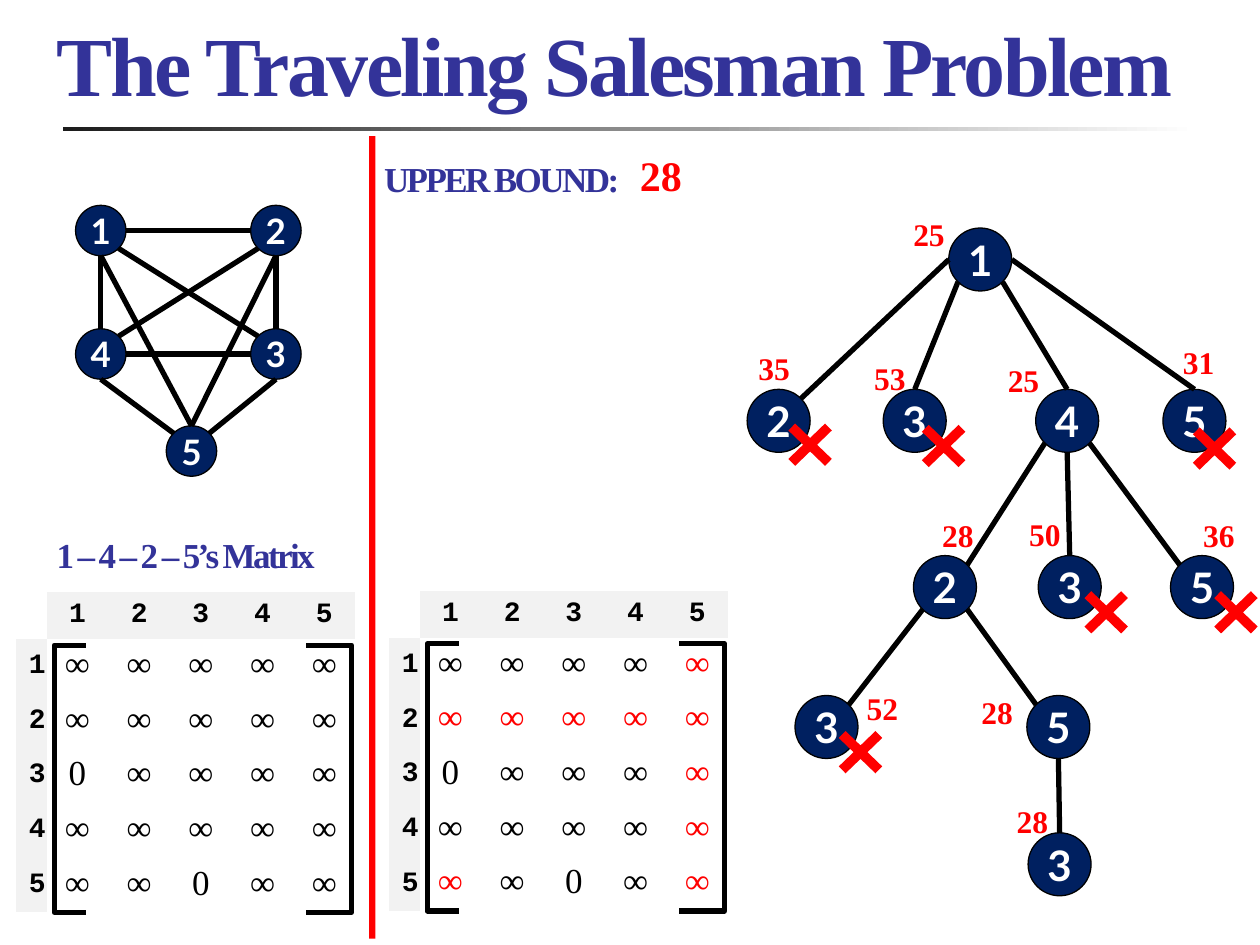
from dataclasses import dataclass

from lxml import etree
from pptx import Presentation
from pptx.dml.color import RGBColor
from pptx.enum.shapes import MSO_CONNECTOR, MSO_SHAPE
from pptx.enum.text import MSO_ANCHOR, MSO_AUTO_SIZE, PP_ALIGN
from pptx.oxml.ns import qn
from pptx.util import Inches, Pt

LEFT, CENTER = PP_ALIGN.LEFT, PP_ALIGN.CENTER
TOP, MIDDLE, BOTTOM = MSO_ANCHOR.TOP, MSO_ANCHOR.MIDDLE, MSO_ANCHOR.BOTTOM
NO_FIT = MSO_AUTO_SIZE.NONE
RECT, OVAL, CROSS = MSO_SHAPE.RECTANGLE, MSO_SHAPE.OVAL, MSO_SHAPE.MATH_MULTIPLY
LEFT_BRACKET, RIGHT_BRACKET = MSO_SHAPE.LEFT_BRACKET, MSO_SHAPE.RIGHT_BRACKET
STRAIGHT = MSO_CONNECTOR.STRAIGHT
NO_STYLE = "{2D5ABB26-0587-4C30-8999-92F81FD0307C}"


@dataclass(frozen=True)
class Theme:
    heading: RGBColor = RGBColor(0x33, 0x33, 0x99)
    node: RGBColor = RGBColor(0x00, 0x20, 0x60)
    red: RGBColor = RGBColor(0xFF, 0x00, 0x00)
    black: RGBColor = RGBColor(0x00, 0x00, 0x00)
    white: RGBColor = RGBColor(0xFF, 0xFF, 0xFF)
    rule: RGBColor = RGBColor(0x1C, 0x1C, 0x1C)
    header: RGBColor = RGBColor(0xF2, 0xF2, 0xF2)
    serif: str = "Times New Roman"
    sans: str = "Lato"
    mono: str = "Courier New"
    title: int = 48
    large: int = 24
    medium: int = 20
    small: int = 18
    index: int = 16
    thick: float = 3
    thin: float = 0.75


T = Theme()
D = 0.707
SITES = {"n": (0, -1), "s": (0, 1), "w": (-1, 0), "e": (1, 0),
         "nw": (-D, -D), "ne": (D, -D), "sw": (-D, D), "se": (D, D)}

GRAPH_NODES = {"1": (0, 0), "2": (1.39, 0), "4": (0, 0.98),
               "3": (1.39, 0.98), "5": (0.72, 1.75)}
GRAPH_EDGES = [("1", "s", "4", "n"), ("1", "e", "2", "w"), ("2", "s", "3", "n"),
               ("3", "s", "5", "ne"), ("4", "s", "5", "nw"), ("1", "se", "3", "nw"),
               ("4", "e", "3", "w"), ("4", "ne", "2", "sw"), ("2", "s", "5", "n"),
               ("1", "s", "5", "n")]

TREE_NODES = {"1": (1.6, 0), "12": (0, 1.28), "13": (1.08, 1.28),
              "14": (2.29, 1.28), "15": (3.3, 1.28), "142": (1.32, 2.6),
              "143": (2.31, 2.6), "145": (3.36, 2.6), "1423": (0.38, 3.71),
              "1425": (2.22, 3.71), "14253": (2.23, 4.8)}
TREE_EDGES = [("1", "w", "12", "ne"), ("1", "sw", "13", "n"), ("1", "se", "14", "n"),
              ("1", "e", "15", "n"), ("14", "sw", "142", "ne"), ("14", "s", "143", "n"),
              ("14", "se", "145", "nw"), ("142", "sw", "1423", "ne"),
              ("142", "se", "1425", "nw"), ("1425", "s", "14253", "n")]
BOUNDS = [("25", 1.22, -0.15), ("35", -0.01, 0.91), ("53", 0.91, 0.99),
          ("25", 1.97, 1.01), ("31", 3.36, 0.86), ("28", 1.45, 2.24),
          ("50", 2.14, 2.23), ("36", 3.52, 2.24), ("52", 0.85, 3.61),
          ("28", 1.76, 3.64), ("28", 2.04, 4.51)]
PRUNED = [(0.22, 1.45), (1.28, 1.46), (3.43, 1.48), (2.57, 2.78), (3.6, 2.78),
          (0.62, 3.89)]

MATRIX = ["∞∞∞∞∞", "∞∞∞∞∞", "0∞∞∞∞", "∞∞∞∞∞", "∞∞0∞∞"]
UPDATED = {(r, 4) for r in range(5)} | {(1, c) for c in range(5)} | {(4, 0)}


def write(tf, text, size=T.medium, color=T.heading, font=T.serif, bold=True,
          align=LEFT, spacing=0):
    p = tf.paragraphs[0]
    p.alignment = align
    r = p.add_run()
    r.text = text
    r.font.size, r.font.name, r.font.bold = Pt(size), font, bold
    r.font.color.rgb = color
    if spacing:
        r._r.get_or_add_rPr().set("spc", str(round(spacing * 100)))


def label(shapes, x, y, w, h, text, anchor=TOP, **fmt):
    tf = shapes.add_textbox(Inches(x), Inches(y), Inches(w), Inches(h)).text_frame
    tf.word_wrap = True
    tf.vertical_anchor = anchor
    write(tf, text, **fmt)


def shape(shapes, kind, x, y, w, h, fill=None, line=None, width=T.thin):
    sp = shapes.add_shape(kind, Inches(x), Inches(y), Inches(w), Inches(h))
    sp.shadow.inherit = False
    if fill is None:
        sp.fill.background()
    else:
        sp.fill.solid()
        sp.fill.fore_color.rgb = fill
    if line is None:
        sp.line.fill.background()
    else:
        sp.line.color.rgb = line
        sp.line.width = Pt(width)
    return sp


def network(shapes, x, y, nodes, edges, d, size):
    for name, (dx, dy) in nodes.items():
        sp = shape(shapes, OVAL, x + dx, y + dy, d, d, T.node, T.black)
        sp.text_frame.word_wrap = False
        sp.text_frame.vertical_anchor = MIDDLE
        write(sp.text_frame, name[-1], size=size, color=T.white, font=T.sans,
              align=CENTER)

    def point(name, site):
        return [Inches(o + n + d / 2 * (1 + u))
                for o, n, u in zip((x, y), nodes[name], SITES[site])]

    for start, start_site, end, end_site in edges:
        ln = shapes.add_connector(STRAIGHT, *point(start, start_site),
                                  *point(end, end_site))
        ln.line.color.rgb = T.black
        ln.line.width = Pt(T.thick)
        etree.SubElement(ln._element.spPr, qn("a:effectLst"))


def header(slide, x, y, w, h):
    title = slide.shapes.title
    title.left, title.top, title.width, title.height = map(Inches, (x, y, w, h))
    tf = title.text_frame
    tf.auto_size = NO_FIT
    tf.vertical_anchor = BOTTOM
    write(tf, "The Traveling Salesman Problem", size=T.title, spacing=-1.5)
    rule = shape(slide.shapes, RECT, x + 0.15, y + 0.94, 9, 0.03)
    rule.fill.gradient()
    rule.fill.gradient_angle = 0
    for stop, position, color in zip(rule.fill.gradient_stops, (0, 1),
                                     (T.rule, T.white)):
        stop.position = position
        stop.color.rgb = color


def city_graph(slide, x, y):
    group = slide.shapes.add_group_shape()
    network(group.shapes, x, y, GRAPH_NODES, GRAPH_EDGES, 0.4, T.medium)


def search_tree(slide, x, y):
    network(slide.shapes, x, y, TREE_NODES, TREE_EDGES, 0.5, T.large)
    for text, dx, dy in BOUNDS:
        label(slide.shapes, x + dx, y + dy, 0.56, 0.4, text, size=T.small, color=T.red)
    for dx, dy in PRUNED:
        sp = shape(slide.shapes, CROSS, x + dx, y + dy, 0.56, 0.54, T.red)
        sp.adjustments[0] = 0.142


def cost_matrix(slide, x, y, updated=()):
    for kind, dx, w in ((RIGHT_BRACKET, 2.3, 0.36), (LEFT_BRACKET, 0.3, 0.25)):
        sp = shape(slide.shapes, kind, x + dx, y + 0.42, w, 2.12,
                   line=T.black, width=T.thick)
        sp.adjustments[0] = 0
    frame = slide.shapes.add_table(6, 6, Inches(x), Inches(y), Inches(2.67),
                                   Inches(2.53))
    next(frame._element.iter(qn("a:tableStyleId"))).text = NO_STYLE
    table = frame.table
    table.first_row = table.horz_banding = False
    for i in range(6):
        table.columns[i].width = Inches(0.49 if i else 0.24)
        table.rows[i].height = Inches(0.43 if i else 0.37)
    for r in range(6):
        for c in range(6):
            cell = table.cell(r, c)
            cell.margin_left = Inches(0 if c else 0.09)
            cell.margin_right = 0
            cell.margin_top = cell.margin_bottom = Inches(0.05 if r or c else 0)
            if r and c:
                cell.fill.background()
                color = T.red if (r - 1, c - 1) in updated else T.black
                write(cell.text_frame, MATRIX[r - 1][c - 1], color=color,
                      bold=False, align=CENTER)
            elif r or c:
                cell.fill.solid()
                cell.fill.fore_color.rgb = T.header
                cell.vertical_anchor = MIDDLE
                write(cell.text_frame, str(r or c), size=T.index, color=T.black,
                      font=T.mono, align=CENTER)
            else:
                cell.fill.background()


def upper_bound(slide, x, y):
    label(slide.shapes, x, y + 0.07, 2.17, 0.42, "UPPER BOUND:", anchor=BOTTOM,
          spacing=-1.5)
    label(slide.shapes, x + 2.03, y, 0.67, 0.5, "28", size=T.large, color=T.red)


def main():
    prs = Presentation()
    prs.slide_width, prs.slide_height = Inches(10), Inches(7.5)
    slide = prs.slides.add_slide(prs.slide_layouts[5])
    header(slide, 0.35, 0.07, 9.29, 0.88)
    shape(slide.shapes, RECT, 2.93, 1.08, 0.05, 6.37, T.red)
    upper_bound(slide, 2.95, 1.14)
    label(slide.shapes, 0.35, 4.2, 2.32, 0.42, "1 – 4 – 2 – 5’s Matrix",
          anchor=BOTTOM, spacing=-1.5)
    cost_matrix(slide, 0.13, 4.7)
    cost_matrix(slide, 3.09, 4.69, UPDATED)
    search_tree(slide, 5.93, 1.81)
    city_graph(slide, 0.6, 1.63)
    prs.save("out.pptx")


if __name__ == "__main__":
    main()
